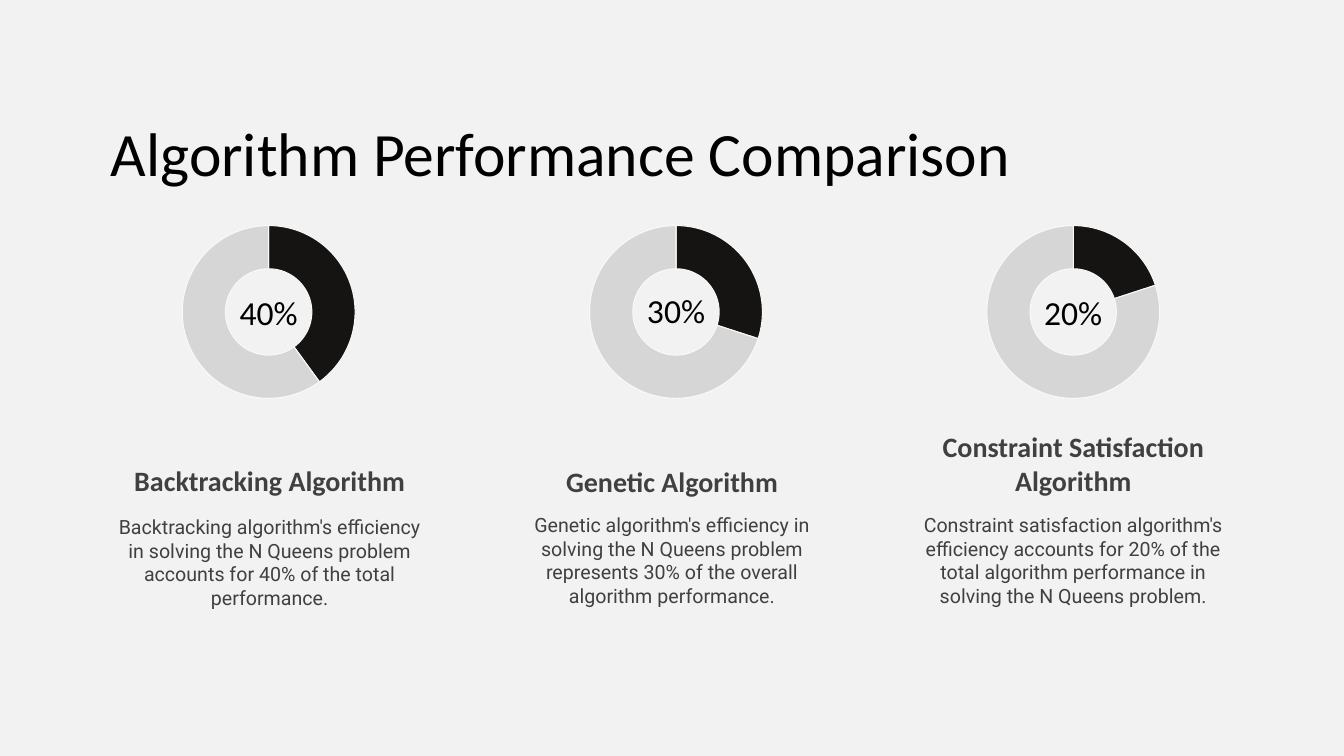
from pptx import Presentation
from pptx.chart.data import CategoryChartData as Data
from pptx.dml.color import RGBColor
from pptx.enum.chart import XL_CHART_TYPE as Kind
from pptx.enum.text import MSO_ANCHOR as Anchor, PP_ALIGN as Align
from pptx.util import Inches, Pt

PAPER = RGBColor(0xF2, 0xF2, 0xF2)
BLACK = RGBColor(0x00, 0x00, 0x00)
GRAY = RGBColor(0x40, 0x40, 0x40)
DARK = RGBColor(0x15, 0x14, 0x13)
LIGHT = RGBColor(0xD6, 0xD6, 0xD6)
EDGE = RGBColor(0xF9, 0xF9, 0xF9)

RING = 1.99  # side of each ring chart
WIDE = 3.35  # width of each text column

# share, heading, body, column left, ring left, then tops of label, heading and body
PARTS = [
    (40, "Backtracking Algorithm",
     "Backtracking algorithm's efficiency in solving the N Queens problem "
     "accounts for 40% of the total performance.",
     1, 1.67, 2.85, 4.17, 5.06),
    (30, "Genetic Algorithm",
     "Genetic algorithm's efficiency in solving the N Queens problem "
     "represents 30% of the overall algorithm performance.",
     4.99, 5.71, 2.83, 4.18, 5.04),
    (20, "Constraint Satisfaction Algorithm",
     "Constraint satisfaction algorithm's efficiency accounts for 20% of the "
     "total algorithm performance in solving the N Queens problem.",
     8.97, 9.65, 2.85, 4.17, 5.04),
]


def write(frame, text, size=14, font="Calibri", color=BLACK, bold=False,
          align=Align.CENTER, anchor=Anchor.MIDDLE):
    frame.word_wrap = True
    frame.vertical_anchor = anchor
    para = frame.paragraphs[0]
    para.alignment = align
    run = para.add_run()
    run.text = text
    run.font.size = Pt(size)
    run.font.name = font
    run.font.bold = bold
    run.font.color.rgb = color


class Page:
    def __init__(self, deck):
        self.slide = deck.slides.add_slide(deck.slide_layouts[6])
        fill = self.slide.background.fill
        fill.solid()
        fill.fore_color.rgb = PAPER

    def text(self, left, top, width, height, text, **style):
        box = self.slide.shapes.add_textbox(
            Inches(left), Inches(top), Inches(width), Inches(height))
        write(box.text_frame, text, **style)

    def ring(self, left, top, share):
        data = Data()
        data.categories = ["1", "2"]
        data.add_series("Series 1", (share, 100 - share))
        chart = self.slide.shapes.add_chart(
            Kind.DOUGHNUT, Inches(left), Inches(top),
            Inches(RING), Inches(RING), data).chart
        chart.has_legend = False
        chart.has_title = False
        chart.font.name = "Calibri"
        chart.font.size = Pt(10)
        chart.font.color.rgb = BLACK
        plot = chart.plots[0]
        plot.vary_by_categories = True
        hole = plot._element.find("{*}holeSize")
        hole.set("val", "90")
        for spot, color in enumerate((DARK, LIGHT)):
            form = plot.series[0].points[spot].format
            form.fill.solid()
            form.fill.fore_color.rgb = color
            form.line.color.rgb = EDGE
            form.line.width = Pt(0.75)


def main():
    deck = Presentation()
    deck.slide_width = Inches(13.33)
    deck.slide_height = Inches(7.5)
    page = Page(deck)

    # Title
    page.text(1, 0.79, 11.42, 1.44, "Algorithm Performance Comparison",
              size=44, align=Align.LEFT)

    # One column per algorithm
    for share, head, body, left, ring, mid, low, base in PARTS:
        page.ring(ring, 2.1, share)
        page.text(ring + (RING - 1) / 2, mid, 1, 0.5, f"{share}%", size=24)
        page.text(left, low, WIDE, 0.81, head, size=20, color=GRAY,
                  bold=True, anchor=Anchor.BOTTOM)
        page.text(left, base, WIDE, 1.44, body, font="Roboto", color=GRAY,
                  anchor=Anchor.TOP)

    deck.save("out.pptx")


if __name__ == "__main__":
    main()
